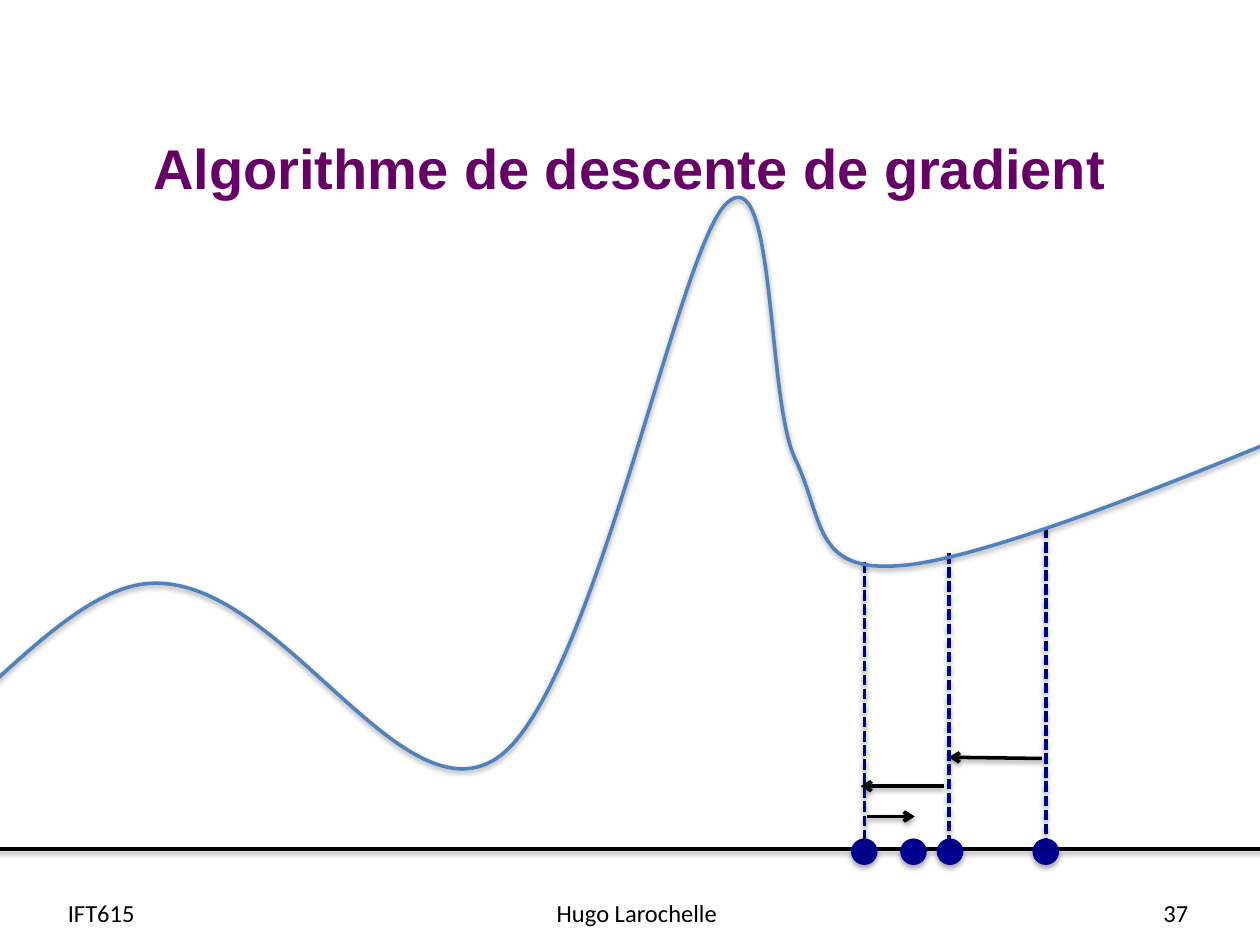
from lxml import etree
from pptx import Presentation
from pptx import util as u
from pptx.dml.color import RGBColor
from pptx.enum import dml, shapes, text
from pptx.oxml.ns import qn

BLACK = RGBColor(0x00, 0x00, 0x00)
NAVY = RGBColor(0x00, 0x00, 0x90)
BLUE = RGBColor(0x4F, 0x81, 0xBD)
PURPLE = RGBColor(0x66, 0x00, 0x66)

SLIDE_WIDTH, SLIDE_HEIGHT = u.Inches(10), u.Inches(7.5)
COLUMNS, ROWS = 10, 7.5
AXIS_ROW = 6.74
DOT_ROW, DOT_SIZE = 6.66, 0.2

FOOTER = {"name": "Calibri", "size": u.Pt(14), "bold": False}
TITLE = {"name": "Arial", "size": u.Pt(32), "bold": True}

CURVE = [
    (-5.47, -0.76),
    (-4.4, 2.31), (-3.34, 5.39), (-2.23, 6.29),
    (-1.12, 7.19), (0.17, 4.67), (1.2, 4.63),
    (2.22, 4.58), (3.17, 6.52), (3.94, 6.02),
    (4.7, 5.52), (5.37, 2.01), (5.76, 1.62),
    (6.16, 1.22), (6.08, 3.16), (6.31, 3.64),
    (6.54, 4.12), (6.45, 4.54), (7.13, 4.49),
    (7.82, 4.45), (9.58, 3.72), (10.42, 3.37),
    (11.25, 3.02), (12.15, 2.38), (12.15, 2.38),
]
CURVE_ROWS = 7.24


def across(columns):
    return round(SLIDE_WIDTH * columns / COLUMNS)


def down(rows):
    return round(SLIDE_HEIGHT * rows / ROWS)


def place(left, top, width, height):
    return across(left), down(top), across(width), down(height)


def add_shadow(shape, opacity=38, distance=1.6):
    effects = etree.SubElement(shape._element.spPr, qn("a:effectLst"))
    values = {"blurRad": u.Pt(3.1), "dist": u.Pt(distance), "dir": 90 * 60000, "rotWithShape": 0}
    shadow = etree.SubElement(effects, qn("a:outerShdw"))
    for name, value in values.items():
        shadow.set(name, str(value))
    color = etree.SubElement(shadow, qn("a:srgbClr"), val=str(BLACK))
    etree.SubElement(color, qn("a:alpha"), val=str(opacity * 1000))


def add_label(page, area, content, alignment, font, color):
    box = page.shapes.add_textbox(*place(*area))
    frame = box.text_frame
    frame.word_wrap = True
    frame.vertical_anchor = text.MSO_ANCHOR.MIDDLE
    para = frame.paragraphs[0]
    para.alignment = alignment
    span = para.add_run()
    span.text = content
    for name, value in font.items():
        setattr(span.font, name, value)
    span.font.color.rgb = color


def add_line(page, start, end, color):
    line = page.shapes.add_connector(
        shapes.MSO_CONNECTOR.STRAIGHT,
        across(start[0]), down(start[1]), across(end[0]), down(end[1]),
    )
    line.line.color.rgb = color
    line.line.width = u.Pt(2)
    add_shadow(line)
    return line


def add_arrow(page, start, end):
    arrow = add_line(page, start, end, BLACK)
    etree.SubElement(arrow.line._get_or_add_ln(), qn("a:tailEnd"), type="arrow")


def add_projection(page, column, top, bottom):
    line = add_line(page, (column, top), (column, bottom), NAVY)
    line.line.dash_style = dml.MSO_LINE.SQUARE_DOT


def add_dot(page, left):
    dot = page.shapes.add_shape(
        shapes.MSO_SHAPE.OVAL, *place(left, DOT_ROW, DOT_SIZE, DOT_SIZE)
    )
    dot.fill.solid()
    dot.fill.fore_color.rgb = NAVY
    dot.line.color.rgb = NAVY
    dot.line.width = u.Pt(0.75)
    add_shadow(dot, opacity=35, distance=1.8)


def add_curve(page, points, rows):
    vertices = [(across(column), down(row)) for column, row in points]
    builder = page.shapes.build_freeform(*vertices[0])
    builder.add_line_segments(vertices[1:], close=False)
    curve = builder.convert_to_shape()
    outline = curve._element.find(".//" + qn("a:path"))
    segments = outline.findall(qn("a:lnTo"))
    for first in range(0, len(segments), 3):
        bezier = etree.SubElement(outline, qn("a:cubicBezTo"))
        for segment in segments[first:first + 3]:
            bezier.append(segment[0])
            outline.remove(segment)
    curve.height = down(rows)
    outline.set("h", str(curve.height))
    curve.fill.background()
    curve.line.color.rgb = BLUE
    curve.line.width = u.Pt(2)
    add_shadow(curve)


def main():
    deck = Presentation()
    deck.slide_width, deck.slide_height = SLIDE_WIDTH, SLIDE_HEIGHT
    page = deck.slides.add_slide(deck.slide_layouts[6])

    align = text.PP_ALIGN
    for left, width, content, alignment in (
        (0.44, 1.93, "IFT615", align.LEFT),
        (3.47, 3.17, "Hugo Larochelle", align.CENTER),
        (7.2, 2.33, "37", align.RIGHT),
    ):
        add_label(page, (left, 7.04, width, 0.4), content, alignment, FOOTER, BLACK)

    add_arrow(page, (-1.01, AXIS_ROW), (11.58, AXIS_ROW))
    add_dot(page, 8.2)
    add_projection(page, 8.3, 4.19, 6.75)
    add_arrow(page, (8.27, 6.02), (7.53, 6.01))
    for left in (7.44, 6.76):
        add_dot(page, left)
    add_arrow(page, (6.88, 6.48), (7.26, 6.48))
    add_arrow(page, (7.49, 6.24), (6.83, 6.24))
    add_label(page, (0.5, 0.7, 9, 1.25), "Algorithme de descente de gradient",
              align.CENTER, TITLE, PURPLE)
    add_dot(page, 7.15)
    add_projection(page, 7.53, 4.39, 6.72)
    add_projection(page, 6.86, 4.46, 6.78)
    add_curve(page, CURVE, CURVE_ROWS)

    deck.save("out.pptx")


if __name__ == "__main__":
    main()
